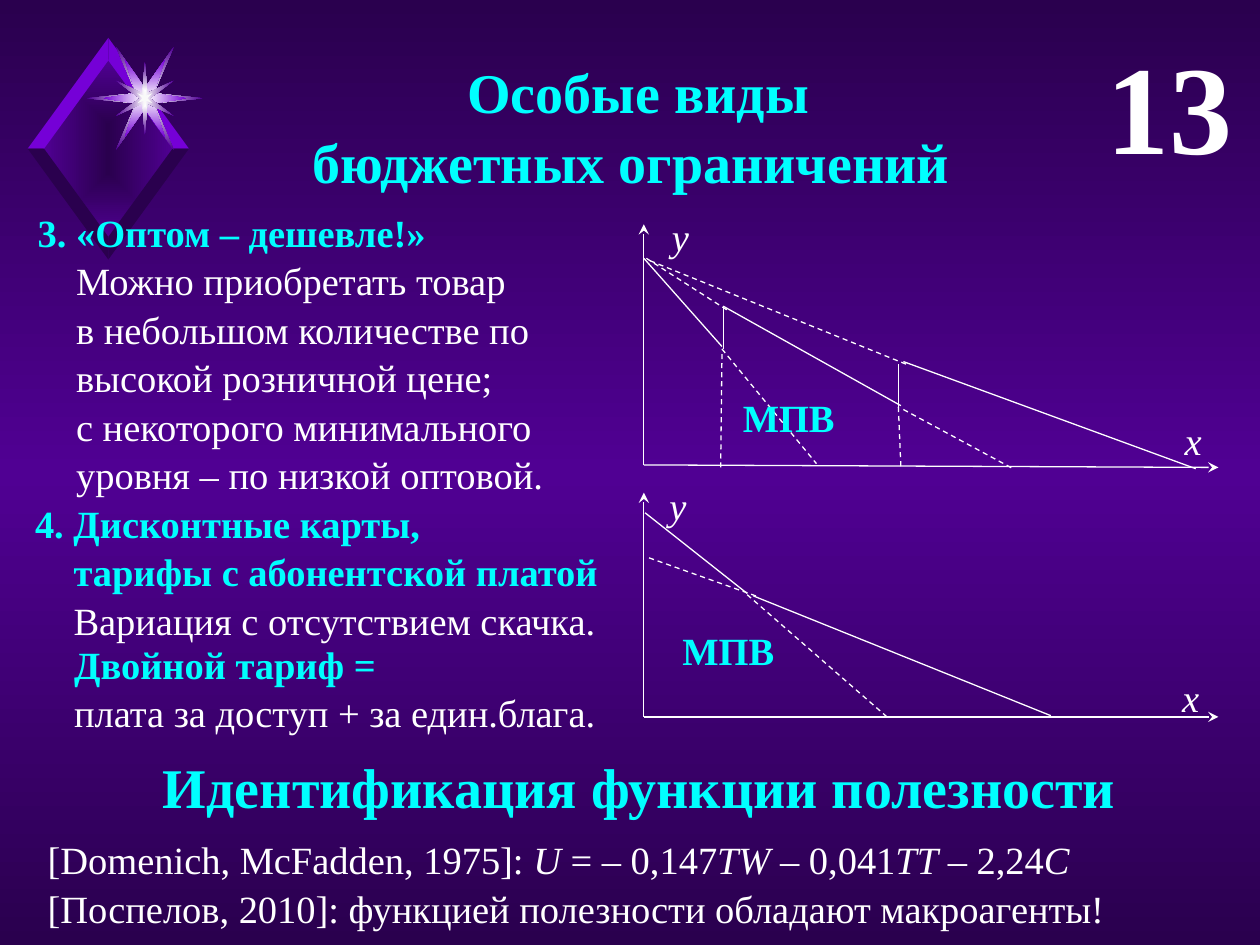
"""Build a slide on special budget constraints with two line diagrams."""
import pptx
import pptx.dml.color
import pptx.enum.dml
import pptx.enum.shapes
import pptx.enum.text
import pptx.oxml
import pptx.oxml.ns
import pptx.util
from lxml import etree

RGB = pptx.dml.color.RGBColor
WHITE = RGB(0xFF, 0xFF, 0xFF)
PALE = RGB(0xF9, 0xF9, 0xF9)
CYAN = RGB(0x00, 0xFF, 0xFF)
NIGHT = RGB(0x2A, 0x00, 0x4E)
PLUM = RGB(0x50, 0x00, 0x93)
VIOLET = RGB(0x75, 0x00, 0xD7)
PX = 9144
FONT = "Times New Roman"
ALIGN = pptx.enum.text.PP_ALIGN
LEFT, MID, RIGHT = ALIGN.LEFT, ALIGN.CENTER, ALIGN.RIGHT
HANG = pptx.util.Pt(22)
qn = pptx.oxml.ns.qn

GEM = (86, 118)
SPARK = (115, 78)
FACET = [(0, -70), (0, -88), (64, 0), (51, 0)]
SIDES = [(1, 1, VIOLET), (-1, 1, VIOLET), (1, -1, NIGHT), (-1, -1, NIGHT)]
CORE = [(52, 0), (0, 71)]
STARS = [
    ([(46, 0), (7, 4), (23, 41), (0, 8)], (WHITE, PLUM)),
    ([(33, 0), (7, 4), (16, 31), (0, 8)], (WHITE, VIOLET)),
    ([(4, 0), (23, 14), (2, 4), (0, 29)], (WHITE, PLUM)),
    ([(2, 0), (6, 4), (1, 2), (0, 7)], (PALE,)),
]

HEAD, BODY, MATH = (CYAN, True, False), (WHITE, False, False), (WHITE, False, True)
BOLD = (WHITE, True, False)
TEXTS = [
    ((20, 38, 962, 118), 32, MID, 0, [
        [(" Особые виды", HEAD)], [("бюджетных ограничений", HEAD)]]),
    ((863, 12, 125, 131), 72, RIGHT, 0, [[("13", BOLD)]]),
    ((20, 159, 449, 232), 22, LEFT, HANG, [
        [("3. «Оптом – дешевле!»", HEAD)],
        [("Можно приобретать товар\nв небольшом количестве по\n"
          "высокой розничной цене;\nс некоторого минимального\n"
          "уровня – по низкой оптовой.", BODY)]]),
    ((18, 390, 476, 121), 22, LEFT, HANG, [
        [("4. Дисконтные карты,\nтарифы с абонентской платой", HEAD)],
        [("Вариация с отсутствием скачка.", BODY)]]),
    ((49, 502, 439, 84), 22, LEFT, 0, [
        [("Двойной тариф =", HEAD)],
        [("плата за доступ + за един.блага.", BODY)]]),
    ((499, 491, 158, 40), 22, MID, 0, [[("МПВ", HEAD)]]),
    ((577, 306, 98, 43), 22, MID, 0, [[("МПВ", HEAD)]]),
    ((21, 590, 962, 64), 32, MID, 0, [
        [(" Идентификация функции полезности", HEAD)]]),
    ((28, 657, 869, 84), 22, LEFT, 0, [
        [("[Domenich, McFadden, 1975]: ", BODY), ("U", MATH),
         (" = – 0,147", BODY), ("TW", MATH), (" – 0,041", BODY),
         ("TT", MATH), (" – 2,24", BODY), ("C", MATH)],
        [("[Поспелов, 2010]: функцией полезности обладают макроагенты!", BODY)]]),
]
MARKS = [("x", 923, 532, 37), ("y", 516, 380, 37),
         ("x", 925, 328, 39), ("y", 518, 166, 39)]

AXES = [
    (511, 391, 511, 569, "headEnd"), (511, 569, 967, 569, "tailEnd"),
    (511, 178, 511, 369, "headEnd"), (511, 369, 967, 371, "tailEnd"),
]
SOLID = [
    (512, 407, 593, 471), (598, 473, 834, 568),
    (511, 205, 573, 275), (574, 277, 574, 244), (574, 243, 715, 322),
    (713, 323, 713, 289), (717, 287, 949, 372),
]
DASHED = [
    (600, 473, 513, 442), (593, 472, 704, 569),
    (573, 277, 648, 368), (513, 205, 577, 246), (516, 207, 719, 289),
    (717, 325, 804, 372), (573, 281, 572, 371), (713, 323, 715, 371),
]


def blend(fill, root, stops, shade):
    """Give a fill evenly spaced gradient stops and the given shading."""
    fill.gradient()
    grad = root.find(".//" + qn("a:gradFill"))
    for old in list(grad):
        grad.remove(old)
    chain = etree.SubElement(grad, qn("a:gsLst"))
    for i, tint in enumerate(stops):
        stop = etree.SubElement(chain, qn("a:gs"), pos=str(i * 100000 // (len(stops) - 1)))
        etree.SubElement(stop, qn("a:srgbClr"), val=str(tint))
    if shade == "lin":
        etree.SubElement(grad, qn("a:lin"), ang="5400000", scaled="0")
    else:
        part = etree.SubElement(grad, qn("a:path"))
        part.set("path", shade)
        etree.SubElement(part, qn("a:fillToRect"), l="50000", t="50000", r="50000", b="50000")


def ring(arc):
    """Mirror a quarter outline into a full one."""
    return (arc + [(-x, y) for x, y in reversed(arc[:-1])]
            + [(-x, -y) for x, y in arc[1:]]
            + [(x, -y) for x, y in reversed(arc[1:-1])])


def draw(slide, mid, dots, tints):
    """Draw a closed outline around a centre."""
    dots = [(mid[0] + x, mid[1] + y) for x, y in dots]
    pen = slide.shapes.build_freeform(*dots[0], scale=PX)
    pen.add_line_segments(dots[1:], close=True)
    shape = pen.convert_to_shape()
    shape.shadow.inherit = False
    shape.line.fill.background()
    if len(tints) > 1:
        blend(shape.fill, shape._element, tints, "rect")
    else:
        shape.fill.solid()
        shape.fill.fore_color.rgb = tints[0]


def write(slide, box, size, align, hang, paras, inset=None):
    """Add a text box run by run."""
    frame = slide.shapes.add_textbox(*(v * PX for v in box)).text_frame
    frame.word_wrap = True
    if inset is not None:
        frame.margin_left = frame.margin_right = inset * PX
        frame.margin_top = frame.margin_bottom = inset * PX
    for i, runs in enumerate(paras):
        para = frame.add_paragraph() if i else frame.paragraphs[0]
        para.alignment = align
        para.line_spacing = 1.05
        if hang:
            props = para._p.get_or_add_pPr()
            props.set("marL", str(hang))
            props.set("indent", str(0 if i else -hang))
        for text, (tint, bold, slant) in runs:
            for j, row in enumerate(text.split("\n")):
                if j:
                    para.add_line_break()
                run = para.add_run()
                run.text = row
                font = run.font
                font.name, font.size = FONT, pptx.util.Pt(size)
                font.bold, font.italic = bold, slant
                font.color.rgb = tint


def rule(slide, ends, dash=False, tip=None):
    """Add a thin white line, dashed or with an arrowhead."""
    line = slide.shapes.add_connector(
        pptx.enum.shapes.MSO_CONNECTOR.STRAIGHT, *(v * PX for v in ends))
    line.line.color.rgb = WHITE
    line.line.width = pptx.util.Pt(0.75)
    if dash:
        line.line.dash_style = pptx.enum.dml.MSO_LINE.DASH
    props = line._element.spPr
    if tip:
        etree.SubElement(props.find(qn("a:ln")), qn("a:" + tip), type="stealth")
    etree.SubElement(props, qn("a:effectLst"))


def main():
    """Assemble and save the slide."""
    deck = pptx.Presentation()
    deck.slide_width, deck.slide_height = 1000 * PX, 750 * PX
    slide = deck.slides.add_slide(deck.slide_layouts[6])
    blend(slide.background.fill, slide._element, (NIGHT, PLUM, NIGHT), "lin")
    draw(slide, GEM, ring(CORE), (NIGHT, PLUM))
    for sx, sy, tint in SIDES:
        draw(slide, GEM, [(x * sx, y * sy) for x, y in FACET], (tint,))
    for arc, tints in STARS:
        draw(slide, SPARK, ring(arc), tints)
    for *ends, tip in AXES:
        rule(slide, ends, tip=tip)
    for ends in SOLID:
        rule(slide, ends)
    for ends in DASHED:
        rule(slide, ends, dash=True)
    for item in TEXTS:
        write(slide, *item)
    for name, x, y, high in MARKS:
        write(slide, (x, y, 44, high), 22, MID, 0, [[(name, MATH)]], inset=1)
    deck.save("out.pptx")


if __name__ == "__main__":
    main()
